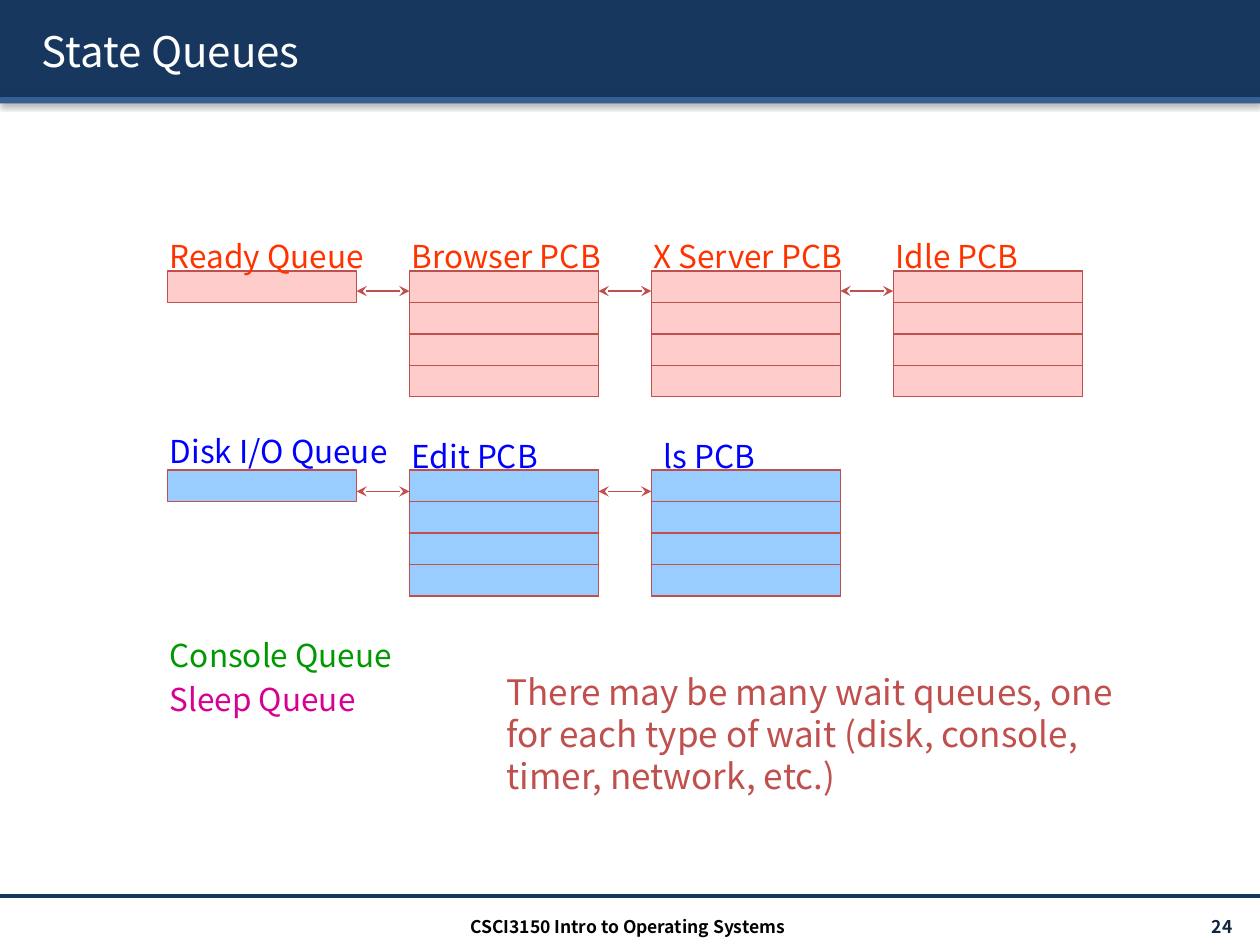
from lxml import etree
from pptx import Presentation
from pptx.dml.color import RGBColor
from pptx.enum.shapes import MSO_CONNECTOR, MSO_SHAPE
from pptx.enum.text import MSO_ANCHOR, MSO_AUTO_SIZE, PP_ALIGN
from pptx.oxml.ns import qn
from pptx.util import Inches, Pt

RECTANGLE, STRAIGHT = MSO_SHAPE.RECTANGLE, MSO_CONNECTOR.STRAIGHT
TOP, MIDDLE = MSO_ANCHOR.TOP, MSO_ANCHOR.MIDDLE
LEFT, CENTER, RIGHT = PP_ALIGN.LEFT, PP_ALIGN.CENTER, PP_ALIGN.RIGHT

FONT = "Noto Sans CJK KR"
COLORS = {
    "navy": "17375E", "steel": "376092", "ink": "0F243E", "black": "000000",
    "white": "FFFFFF", "brick": "C0504D", "pink": "FFCCCC", "sky": "99CCFF",
    "red": "FF3300", "blue": "0000FF", "green": "009900", "magenta": "D60093",
}
COLORS = {name: RGBColor.from_string(value) for name, value in COLORS.items()}

WIDTH, HEIGHT = 10, 7.5
FIRST_COLUMN, COLUMN_STEP = 1.33, 1.92
CELL_WIDTH, CELL_HEIGHT, CELL_COUNT = 1.5, 0.25, 4
LABEL_INDENT = 0.08


def add_box(shapes, left, top, width, height, fill, outline=None):
    box = shapes.add_shape(RECTANGLE, Inches(left), Inches(top), Inches(width), Inches(height))
    box.shadow.inherit = False
    box.fill.solid()
    box.fill.fore_color.rgb = COLORS[fill]
    if outline:
        box.line.color.rgb = COLORS[outline]
        box.line.width = Pt(0.75)
    else:
        box.line.fill.background()
    return box


def write_text(box, place, text, color, size=18, bold=False, align=LEFT, anchor=TOP):
    """Place a text box or placeholder and fill it with one paragraph."""
    for name, length in zip(("left", "top", "width", "height"), place):
        setattr(box, name, Inches(length))
    frame = box.text_frame
    frame_format = {
        "word_wrap": True, "auto_size": MSO_AUTO_SIZE.NONE, "vertical_anchor": anchor,
        "margin_left": Inches(0.1), "margin_right": Inches(0.1),
        "margin_top": Inches(0.07), "margin_bottom": Inches(0.03),
    }
    for name, value in frame_format.items():
        setattr(frame, name, value)
    para = frame.paragraphs[0]
    para.alignment = align
    para.line_spacing = Pt(size * 1.2)
    span = para.add_run()
    span.text = text
    for name, value in {"name": FONT, "size": Pt(size), "bold": bold}.items():
        setattr(span.font, name, value)
    span.font.color.rgb = COLORS[color]
    return span


deck = Presentation()
deck.slide_width, deck.slide_height = Inches(WIDTH), Inches(HEIGHT)
page = deck.slides.add_slide(deck.slide_layouts[5])
shapes = page.shapes

# Header bands, title and footer
effect_lists = []
for top, height, fill in ((0, 0.77, "navy"), (0.77, 0.05, "steel")):
    band = add_box(shapes, 0, top, WIDTH, height, fill)
    effect_lists.append(band.element.spPr.find(qn("a:effectLst")))

title = shapes.title
shapes.element.append(title.element)  # in front of the bands
title_span = write_text(title, (0.23, 0.06, 9.61, 0.64), "State Queues", "white", 24, anchor=MIDDLE)
text_fill = title_span.font.element.find(qn("a:solidFill")) if hasattr(title_span.font, "element") \
    else title.element.find(".//" + qn("a:rPr")).find(qn("a:solidFill"))
title_effects = etree.Element(qn("a:effectLst"))
text_fill.addnext(title_effects)
effect_lists.append(title_effects)

for effects in effect_lists:
    shadow = etree.SubElement(effects, qn("a:outerShdw"), blurRad=str(Pt(3.1)),
                              dist=str(Pt(1.6)), dir="5400000", rotWithShape="0")
    shade = etree.SubElement(shadow, qn("a:srgbClr"), val=str(COLORS["black"]))
    etree.SubElement(shade, qn("a:alpha"), val="38000")

footer_rule = shapes.add_connector(STRAIGHT, 0, Inches(7.11), Inches(WIDTH), Inches(7.11))
footer_rule.line.color.rgb = COLORS["navy"]
footer_rule.line.width = Pt(2)
etree.SubElement(footer_rule.element.spPr, qn("a:effectLst"))

for place, text, color, align in (
    ((8.71, 7.21, 1.17, 0.24), "24", "ink", RIGHT),
    ((3.32, 7.21, 3.32, 0.24), "CSCI3150 Intro to Operating Systems", "black", CENTER),
):
    write_text(shapes.add_textbox(0, 0, 0, 0), place, text, color, 10, True, align, MIDDLE)

# Each queue: a head cell linked to a row of process control blocks
queues = (
    (2.15, 2.31, "pink", 3),
    (3.73, 3.9, "sky", 2),
)
for top, link_height, fill, block_count in queues:
    add_box(shapes, FIRST_COLUMN, top, CELL_WIDTH, CELL_HEIGHT, fill, "brick")
    for column in range(1, block_count + 1):
        left = FIRST_COLUMN + column * COLUMN_STEP
        block = shapes.add_group_shape().shapes
        add_box(block, left, top, CELL_WIDTH, CELL_HEIGHT * CELL_COUNT, fill, "brick")
        for row in range(CELL_COUNT):
            add_box(block, left, top + row * CELL_HEIGHT, CELL_WIDTH, CELL_HEIGHT, fill, "brick")

        link = shapes.add_connector(STRAIGHT, Inches(left - COLUMN_STEP + CELL_WIDTH),
                                    Inches(link_height), Inches(left), Inches(link_height))
        link.line.color.rgb = COLORS["brick"]
        link.line.width = Pt(0.75)
        outline = link.element.spPr.find(qn("a:ln"))
        for end in ("a:headEnd", "a:tailEnd"):
            etree.SubElement(outline, qn(end), type="stealth", w="med", len="med")
        etree.SubElement(link.element.spPr, qn("a:effectLst"))

# Labels: column, indent from the column edge, top, width, text, color
labels = (
    (0, LABEL_INDENT, 1.81, 1.83, "Ready Queue", "red"),
    (1, LABEL_INDENT, 1.81, 1.83, "Browser PCB", "red"),
    (2, LABEL_INDENT, 1.81, 1.83, "X Server PCB", "red"),
    (3, LABEL_INDENT, 1.81, 1.83, "Idle PCB", "red"),
    (0, LABEL_INDENT, 3.36, 2.25, "Disk I/O Queue", "blue"),
    (1, LABEL_INDENT, 3.4, 1.83, "Edit PCB", "blue"),
    (2, 0, 3.4, 1.83, "ls PCB", "blue"),
    (0, LABEL_INDENT, 4.98, 2.07, "Console Queue", "green"),
    (0, LABEL_INDENT, 5.33, 1.83, "Sleep Queue", "magenta"),
)
for column, indent, top, width, text, color in labels:
    left = FIRST_COLUMN + column * COLUMN_STEP - indent
    write_text(shapes.add_textbox(0, 0, 0, 0), (left, top, width, 0.4), text, color)

write_text(shapes.add_textbox(0, 0, 0, 0), (3.92, 5.25, 5.25, 1.11),
           "There may be many wait queues, one for each type of wait "
           "(disk, console, timer, network, etc.)", "brick", 20)

deck.save("out.pptx")
